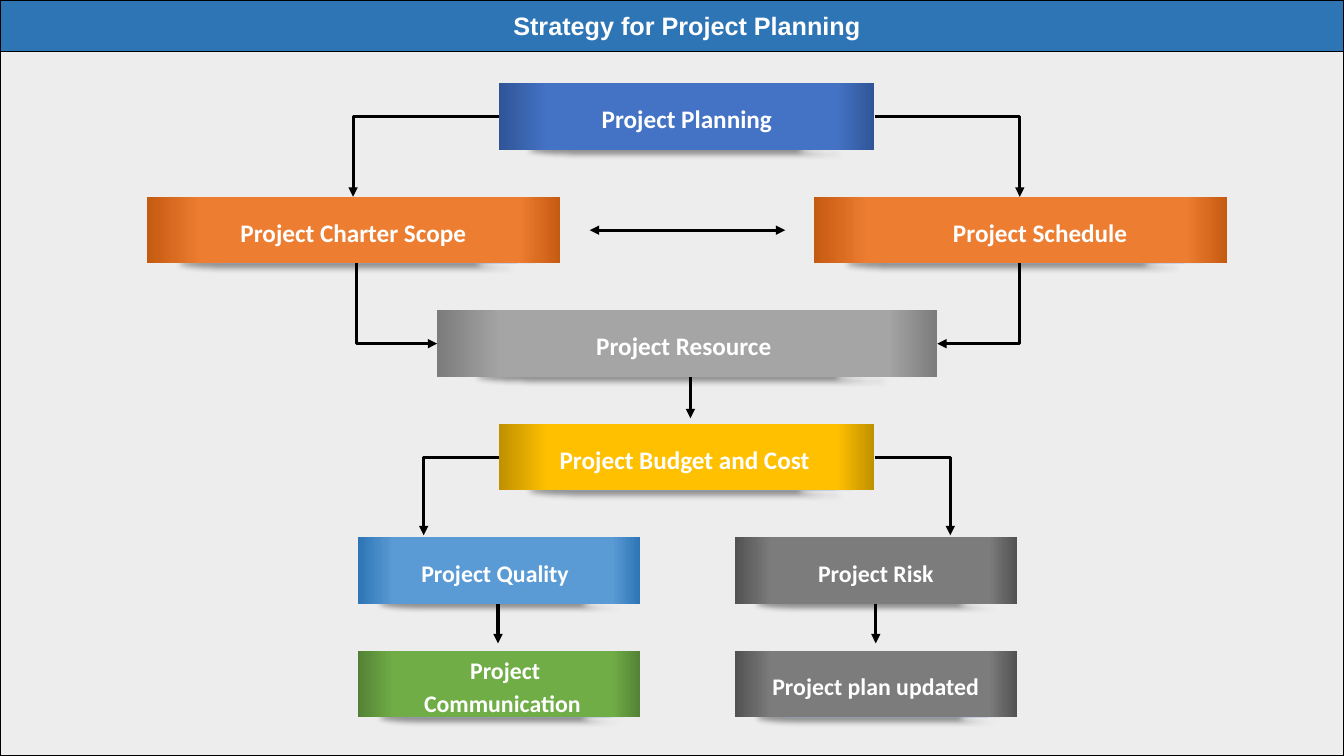
from lxml import etree
from pptx import Presentation
from pptx import util as u
from pptx.dml.color import RGBColor
from pptx.enum import shapes, text
from pptx.oxml.ns import qn

BLACK = RGBColor(0x00, 0x00, 0x00)
WHITE = RGBColor(0xFF, 0xFF, 0xFF)
PALE = RGBColor(0xED, 0xED, 0xED)
BASE = RGBColor(0x8F, 0xAA, 0xDC)
BLUE = RGBColor(0x2E, 0x75, 0xB6)
NAVY = (RGBColor(0x2F, 0x55, 0x97), RGBColor(0x44, 0x72, 0xC4))
ORANGE = (RGBColor(0xC5, 0x5A, 0x11), RGBColor(0xED, 0x7D, 0x31))
GREY = (RGBColor(0x7C, 0x7C, 0x7C), RGBColor(0xA5, 0xA5, 0xA5))
GOLD = (RGBColor(0xBF, 0x90, 0x00), RGBColor(0xFF, 0xC0, 0x00))
SKY = (BLUE, RGBColor(0x5B, 0x9B, 0xD5))
GREEN = (RGBColor(0x54, 0x82, 0x35), RGBColor(0x70, 0xAD, 0x47))
DARK = (RGBColor(0x52, 0x52, 0x52), RGBColor(0x7C, 0x7C, 0x7C))

WIDE, HIGH = 33.87, 19.05
TOP, STEP, TALL = 2.1, 2.86, 1.68

STEPS = [
    ("Project Planning", 0, 12.57, 9.47, NAVY, 13.59, 7.44, 18, 1.09),
    ("Project Charter Scope", 1, 3.71, 10.41, ORANGE, 4.17, 9.47, 18, 1.09),
    ("Project Schedule ", 1, 20.52, 10.41, ORANGE, 23.34, 5.89, 18, 1.09),
    ("Project Resource ", 2, 11.02, 12.6, GREY, 11.96, 10.69, 18, 1.09),
    ("Project Budget and Cost ", 3, 12.57, 9.47, GOLD, 13.26, 8.13, 18, 1.09),
    ("Project Quality ", 4, 9.02, 7.11, SKY, 10.26, 4.57, 17, 1.04),
    ("Project Communication ", 5, 9.02, 7.11, GREEN, 10.01, 5.44, 17, 1.88),
    ("Project Risk", 4, 18.52, 7.11, DARK, 19.79, 4.57, 17, 1.04),
    ("Project plan updated", 5, 18.52, 7.11, DARK, 19.02, 6.1, 17, 1.04),
]


def style(item, form):
    """Set each attribute named in a dict."""
    for name, value in form.items():
        setattr(item, name, value)


def add(node, tag, **attrs):
    """Append a drawing element and return it."""
    return etree.SubElement(node, qn("a:" + tag), {k: str(v) for k, v in attrs.items()})


def row(index):
    """Return the top of a row of bars."""
    return TOP + index * STEP


def mid(index):
    """Return the middle height of a row of bars."""
    return row(index) + TALL / 2


def block(slide, box, fill=None, edge=None, kind=shapes.MSO_SHAPE.RECTANGLE):
    """Add a preset shape with an optional fill and edge."""
    shape = slide.shapes.add_shape(kind, *map(u.Cm, box))
    shape.shadow.inherit = False
    if fill is not None:
        shape.fill.solid()
        shape.fill.fore_color.rgb = fill
    if edge is None:
        shape.line.fill.background()
    else:
        shape.line.color.rgb = edge
        shape.line.width = u.Pt(1)
    return shape


def shade(shape, pair):
    """Fill a shape from left to right with darker ends."""
    edge, core = pair
    shape.fill.gradient()
    shape.fill.gradient_angle = 0
    stops = shape.element.spPr.find(".//" + qn("a:gsLst"))
    stops.clear()
    for place, tone in ((0, edge), (13, core), (90, core), (100, edge)):
        add(add(stops, "gs", pos=place * 1000), "srgbClr", val=tone)


def cast(shape):
    """Give a shape a soft shadow below it."""
    node = shape.element.spPr.find(qn("a:effectLst"))
    blur = add(node, "outerShdw", blurRad=u.Pt(4), dist=u.Pt(3), dir=5400000, rotWithShape=0)
    add(add(blur, "srgbClr", val=BLACK), "alpha", val=40000)


def label(slide, words, box, size, font="Calibri", space=1.15,
          anchor=text.MSO_ANCHOR.MIDDLE):
    """Add a centred bold white line of text."""
    frame = slide.shapes.add_textbox(*map(u.Cm, box)).text_frame
    style(frame, {"word_wrap": True, "vertical_anchor": anchor,
                  "auto_size": text.MSO_AUTO_SIZE.SHAPE_TO_FIT_TEXT})
    para = frame.paragraphs[0]
    style(para, {"alignment": text.PP_ALIGN.CENTER, "line_spacing": space})
    run = para.add_run()
    run.text = words
    style(run.font, {"name": font, "size": u.Pt(size), "bold": True})
    run.font.color.rgb = WHITE


def bar(slide, words, index, left, wide, pair, start, span, size, tall):
    """Add one step: shadow base, shaded bar and its text."""
    base = block(slide, (left + 0.08 * wide, row(index) + 1.45, 0.86 * wide, 0.23),
                 BASE, kind=shapes.MSO_SHAPE.FLOWCHART_STORED_DATA)
    cast(base)
    shade(block(slide, (left, row(index), wide, TALL)), pair)
    label(slide, words, (start, mid(index) - tall / 2, span, tall), size)


def arrow(slide, ends, kind=shapes.MSO_CONNECTOR.STRAIGHT, both=False):
    """Add a black arrow between two points."""
    link = slide.shapes.add_connector(kind, *map(u.Cm, ends))
    link.line.color.rgb = BLACK
    link.line.width = u.Pt(2.25)
    props = link.element.spPr
    line = props.find(qn("a:ln"))
    if both:
        add(line, "headEnd", type="triangle")
    add(line, "tailEnd", type="triangle")
    add(props, "effectLst")
    return link


def bend(slide, ends, down=False):
    """Add an arrow with one corner, going sideways or down first."""
    x1, y1, x2, y2 = ends
    right = x2 > x1
    if down:
        cx, cy = (x1 + x2) / 2, (y1 + y2) / 2
        dx, dy = abs(y2 - y1) / 2, abs(x2 - x1) / 2
        if right:
            dx = -dx
        ends = cx - dx, cy - dy, cx + dx, cy + dy
    props = arrow(slide, ends, shapes.MSO_CONNECTOR.ELBOW).element.spPr
    props.find(qn("a:prstGeom")).set("prst", "bentConnector2")
    if down:
        props.find(qn("a:xfrm")).set("rot", str((270 if right else 90) * 60000))


def main():
    """Build the slide and save it."""
    deck = Presentation()
    style(deck, {"slide_width": u.Cm(WIDE), "slide_height": u.Cm(HIGH)})
    slide = deck.slides.add_slide(deck.slide_layouts[6])
    block(slide, (0, 0, WIDE, HIGH), PALE, BLACK)
    for x in (12.55, 22.07):
        arrow(slide, (x, 14.91, x, 16.21))
    for step in STEPS:
        bar(slide, *step)
    for x1, x2, index in ((12.57, 8.9, 0), (22.04, 25.7, 0),
                          (12.57, 10.68, 3), (22.04, 23.95, 3)):
        tip = row(1) if index == 0 else row(4) - 0.05
        bend(slide, (x1, mid(index), x2, tip))
    for x1, x2 in ((8.99, 11.02), (25.7, 23.62)):
        bend(slide, (x1, row(1) + TALL, x2, mid(2)), True)
    arrow(slide, (17.4, row(2) + TALL, 17.4, 10.54))
    arrow(slide, (14.86, mid(1), 19.79, mid(1)), both=True)
    block(slide, (0, 0, WIDE, 1.3), BLUE, BLACK)
    label(slide, "Strategy for Project Planning ", (7.85, 0.13, 19.1, 1.03), 18,
          "Arial", 1.0, text.MSO_ANCHOR.TOP)
    deck.save("out.pptx")


main()
